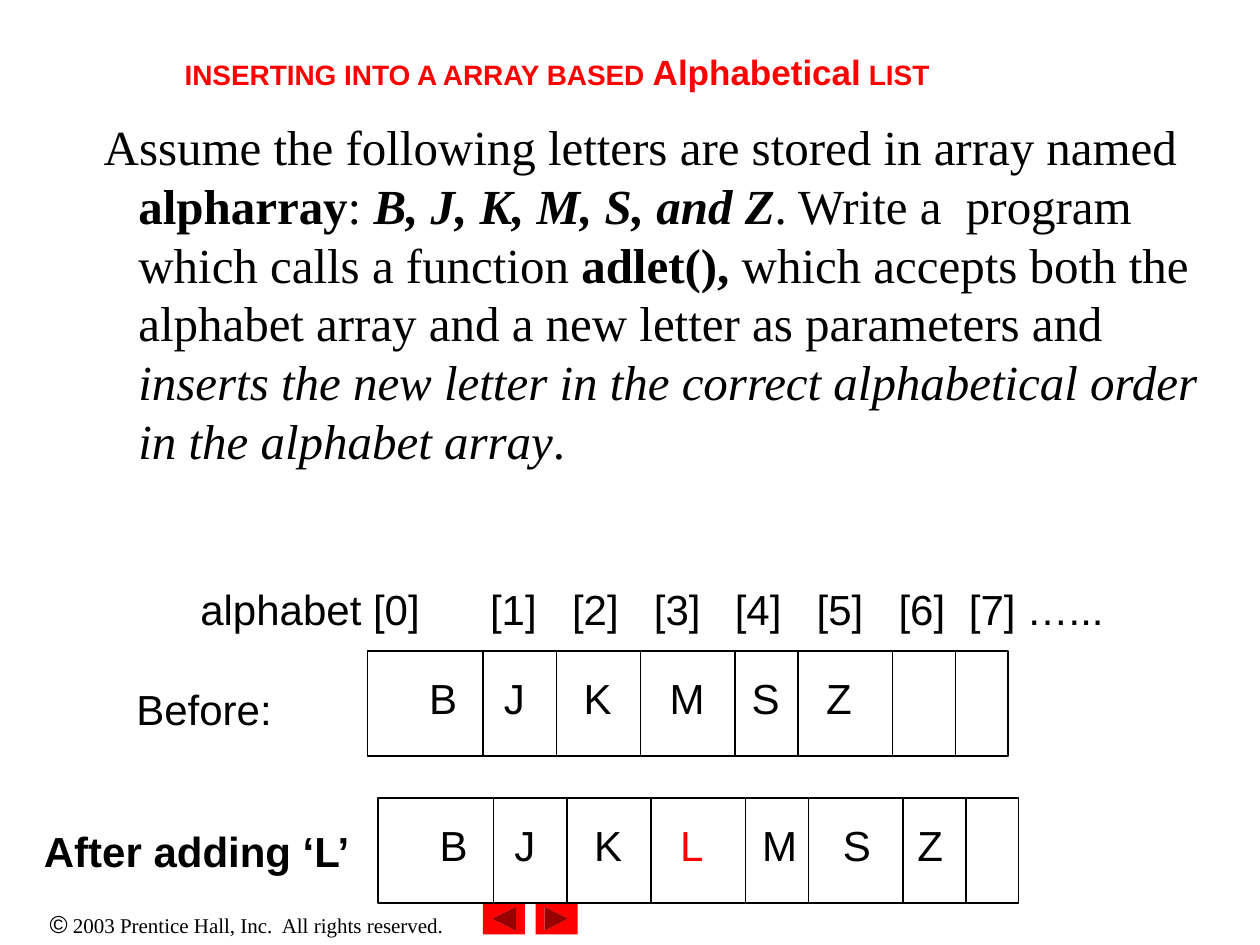
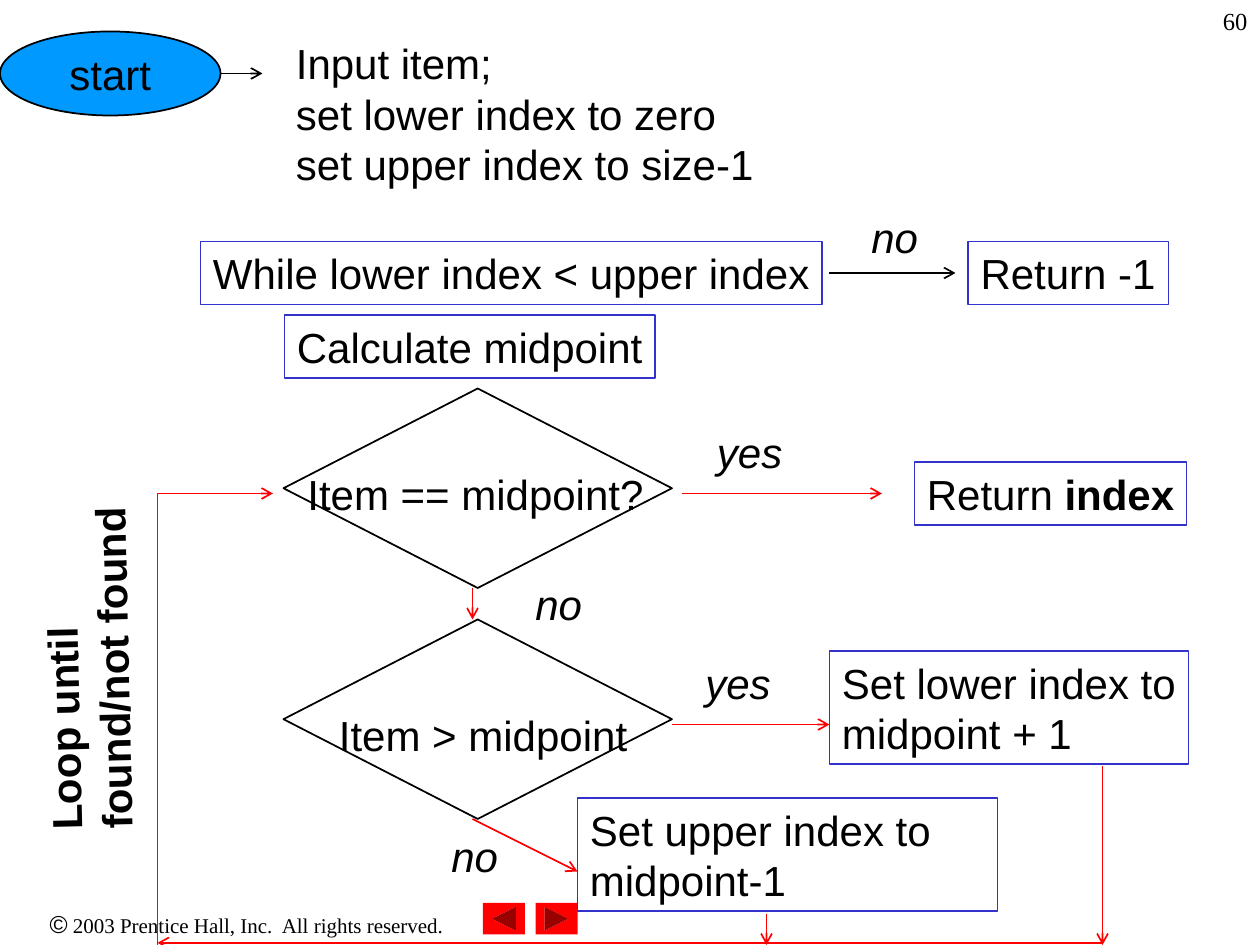
"""Build two slides on alphabetical insertion and the search flow chart."""
from dataclasses import dataclass
from itertools import accumulate

from lxml.etree import SubElement
from pptx import Presentation
from pptx.dml.color import RGBColor
from pptx.enum.shapes import MSO_CONNECTOR as Connector, MSO_SHAPE as Preset
from pptx.enum.text import MSO_ANCHOR as Anchor, MSO_AUTO_SIZE as AutoSize, PP_ALIGN as Align
from pptx.oxml.ns import qn
from pptx.util import Pt

EMU_PER_PX = 7620
TITLE_ONLY, BLANK = 5, 6


@dataclass(frozen=True)
class Theme:
    """Colours, fonts and type sizes of both slides."""
    ink: str = "000000"
    accent: str = "FF0000"
    frame: str = "3333CC"
    start: str = "0099FF"
    sans: str = "Arial"
    serif: str = "Times New Roman"
    body: int = 28
    label: int = 24
    title_big: int = 20
    title: int = 16
    small: int = 14
    footer: int = 12
    line: int = 1


THEME = Theme()


@dataclass(frozen=True)
class Box:
    """A rectangle in px."""
    x: int
    y: int
    w: int
    h: int

    def inner(self, dx, dy, w, h):
        """Return a box offset from this box's corner."""
        return Box(self.x + dx, self.y + dy, w, h)

    def emu(self):
        """Return left, top, width and height in EMU."""
        return [px(n) for n in (self.x, self.y, self.w, self.h)]


def px(length):
    """Convert px to EMU."""
    return length * EMU_PER_PX


def style_run(run, size=THEME.label, font=THEME.sans, color=THEME.ink, bold=False, italic=False):
    """Format one run."""
    run.font.size, run.font.name = Pt(size), font
    run.font.bold, run.font.italic = bold, italic
    run.font.color.rgb = RGBColor.from_string(color)


def write(shape, *lines, align=Align.LEFT, anchor=Anchor.TOP, wrap=False, tabs=(), **style):
    """Fill a shape with lines, each a string or a list of (text, style) pairs."""
    frame = shape.text_frame
    frame.auto_size, frame.word_wrap, frame.vertical_anchor = AutoSize.NONE, wrap, anchor
    for index, line in enumerate(lines):
        paragraph = frame.add_paragraph() if index else frame.paragraphs[0]
        paragraph.alignment = align
        if tabs:
            stops = SubElement(paragraph._p.get_or_add_pPr(), qn("a:tabLst"))
            for stop in tabs:
                SubElement(stops, qn("a:tab"), pos=str(px(stop)), algn="l")
        for text, changes in [(line, {})] if isinstance(line, str) else line:
            run = paragraph.add_run()
            run.text = text
            style_run(run, **{**style, **changes})
    return shape


def label(slide, box, *lines, **options):
    """Add a text box."""
    return write(slide.shapes.add_textbox(*box.emu()), *lines, **options)


def outline(slide, box, preset=Preset.RECTANGLE, line=THEME.ink, fill=None):
    """Add a preset shape with a thin line or none."""
    shape = slide.shapes.add_shape(preset, *box.emu())
    shape.shadow.inherit = False
    if fill:
        shape.fill.solid()
        shape.fill.fore_color.rgb = RGBColor.from_string(fill)
    else:
        shape.fill.background()
    if line:
        shape.line.color.rgb = RGBColor.from_string(line)
        shape.line.width = Pt(THEME.line)
    else:
        shape.line.fill.background()
    return shape


def step(slide, box, *lines, **options):
    """Add a framed step of the flow chart."""
    return write(outline(slide, box, line=THEME.frame), *lines, **options)


def rule(slide, x1, y1, x2, y2, color=THEME.ink, arrow=False):
    """Add a straight line, with an arrowhead at its end if asked."""
    connector = slide.shapes.add_connector(Connector.STRAIGHT, px(x1), px(y1), px(x2), px(y2))
    connector.line.color.rgb = RGBColor.from_string(color)
    connector.line.width = Pt(THEME.line)
    if arrow:
        SubElement(connector.line._get_or_add_ln(), qn("a:tailEnd"), type="arrow")
    SubElement(connector._element.spPr, qn("a:effectLst"))


def footer(slide, box):
    """Add the copyright line and the two navigation buttons."""
    label(slide, box.inner(0, 0, 470, 41),
          [("©", {"size": THEME.small}),
           (" 2003 Prentice Hall, Inc.  All rights reserved.", {"font": THEME.serif})],
          align=Align.CENTER, wrap=True, size=THEME.footer)
    for dx, turn in ((510, 0), (460, 180)):
        button = outline(slide, box.inner(dx, 0, 40, 30), Preset.ACTION_BUTTON_FORWARD_OR_NEXT,
                         line=None, fill=THEME.accent)
        button.rotation = turn


def new_slide(deck, layout):
    """Add a slide with the shared footer."""
    slide = deck.slides.add_slide(deck.slide_layouts[layout])
    footer(slide, Box(0, 860, 1200, 40))
    return slide


def heading(slide, box):
    """Move and format the title placeholder."""
    title = slide.shapes.title
    title.left, title.top, title.width, title.height = box.emu()
    write(title, [("INSERTING INTO A ARRAY BASED ", {}),
                  ("Alphabetical", {"size": THEME.title_big}), (" LIST", {})],
          align=Align.CENTER, size=THEME.title, color=THEME.accent, bold=True)


def assignment(slide, box):
    """Add the task with a hanging indent."""
    task = label(slide, box, [
        ("Assume the following letters are stored in array named ", {}),
        ("alpharray", {"bold": True}), (": ", {}),
        ("B, J, K, M, S, and Z", {"bold": True, "italic": True}),
        (". Write a  program which calls a function ", {}),
        ("adlet(),", {"bold": True}),
        (" which accepts both the alphabet array and a new letter as parameters and ", {}),
        ("inserts the new letter in the correct alphabetical order in the alphabet array",
         {"italic": True}), (".", {})],
        wrap=True, size=THEME.body, font=THEME.serif)
    properties = task.text_frame.paragraphs[0]._p.get_or_add_pPr()
    properties.set("marL", str(px(45)))
    properties.set("indent", str(px(-33)))


def array_row(slide, box, letters, tabs):
    """Draw the array cells and their letters."""
    outline(slide, box)
    for dx in accumulate((110, 70, 80, 90, 60, 90, 60)):
        rule(slide, box.x + dx, box.y, box.x + dx, box.y + box.h)
    label(slide, box.inner(47, 15, 530, 60), letters, wrap=True, tabs=tabs)


def insertion_slide(deck):
    """Build the slide with the array before and after."""
    slide = new_slide(deck, TITLE_ONLY)
    heading(slide, Box(161, 42, 739, 53))
    assignment(slide, Box(75, 105, 1090, 420))
    label(slide, Box(179, 550, 900, 60), "alphabet [0]\t[1]\t[2]\t[3]\t[4]\t[5]\t[6]\t[7]\t…...",
          wrap=True, tabs=(276, 354, 432, 509, 587, 665, 732, 787))
    array_row(slide, Box(350, 620, 610, 100), "B\tJ\tK\tM\tS\tZ", (71, 147, 229, 307, 378))
    array_row(slide, Box(360, 760, 610, 100),
              [("B\tJ\tK\t", {}), ("L", {"color": THEME.accent}), ("\tM\tS\tZ", {})],
              (71, 147, 229, 307, 384, 455))
    label(slide, Box(30, 780, 317, 60), "After adding ‘L’", bold=True)
    label(slide, Box(118, 645, 152, 60), "Before:")


def opening(slide, box):
    """Draw the start and the initial values."""
    write(outline(slide, box.inner(0, 0, 210, 80), Preset.OVAL, fill=THEME.start), "start",
          align=Align.CENTER, anchor=Anchor.MIDDLE)
    rule(slide, box.x + 210, box.y + 40, box.x + 250, box.y + 40, arrow=True)
    label(slide, box.inner(270, 0, 460, 156), "Input item;", "set lower index to zero",
          "set upper index to size-1")


def loop_head(slide, box):
    """Draw the loop condition, its exit and the midpoint step."""
    step(slide, box.inner(0, 34, 592, 60), "While lower index < upper index")
    rule(slide, box.x + 599, box.y + 64, box.x + 719, box.y + 64, arrow=True)
    label(slide, box.inner(627, 0, 68, 60), "no", italic=True)
    step(slide, box.inner(731, 34, 191, 60), "Return -1")
    step(slide, box.inner(80, 104, 353, 60), "Calculate midpoint")


def decision(slide, box, question, question_box, yes_at, no_at, yes_arrow, no_arrow):
    """Draw a diamond with its question and its two labelled exits."""
    outline(slide, box, Preset.DIAMOND)
    label(slide, box.inner(*question_box), question)
    for answer, (dx, dy), width in (("yes", yes_at, 86), ("no", no_at, 68)):
        label(slide, box.inner(dx, dy, width, 60), answer, italic=True)
    for x1, y1, x2, y2 in (yes_arrow, no_arrow):
        rule(slide, box.x + x1, box.y + y1, box.x + x2, box.y + y2, THEME.accent, arrow=True)


def loop_back(slide, box):
    """Draw the return path and its turned label."""
    right, bottom = box.x + box.w, box.y + box.h
    for *ends, arrow in ((right, box.y + 260, right, bottom, True),
                         (right, bottom - 2, box.x, bottom - 2, True),
                         (box.x, bottom, box.x, box.y, False),
                         (box.x, box.y, box.x + 110, box.y, True),
                         (box.x + 580, bottom - 30, box.x + 580, bottom, True)):
        rule(slide, *ends, THEME.accent, arrow)
    caption = label(slide, box.inner(-232, 113, 330, 108), "Loop until", "found/not found",
                    bold=True)
    caption.rotation = 268.7


def search_slide(deck):
    """Build the flow chart of the search."""
    slide = new_slide(deck, BLANK)
    label(slide, Box(950, 0, 250, 60), "60", align=Align.RIGHT, wrap=True,
          size=THEME.small, font=THEME.serif)
    opening(slide, Box(0, 30, 730, 156))
    loop_head(slide, Box(191, 196, 922, 164))
    decision(slide, Box(270, 370, 370, 190), "Item == midpoint?", (11, 70, 355, 60),
             (401, 30), (228, 175), (380, 100, 570, 100), (180, 190, 180, 220))
    decision(slide, Box(270, 590, 370, 190), "Item > midpoint", (41, 80, 299, 60),
             (390, 30), (148, 195), (370, 100, 520, 100), (180, 190, 280, 240))
    step(slide, Box(871, 440, 259, 60), [("Return ", {}), ("index", {"bold": True})])
    step(slide, Box(790, 620, 342, 108), "Set lower index to midpoint + 1", wrap=True)
    step(slide, Box(550, 760, 400, 108), "Set upper index to midpoint-1", wrap=True)
    loop_back(slide, Box(150, 470, 900, 430))


def main():
    """Build and save the deck."""
    deck = Presentation()
    deck.slide_width, deck.slide_height = px(1200), px(900)
    insertion_slide(deck)
    search_slide(deck)
    deck.save("out.pptx")


if __name__ == "__main__":
    main()
